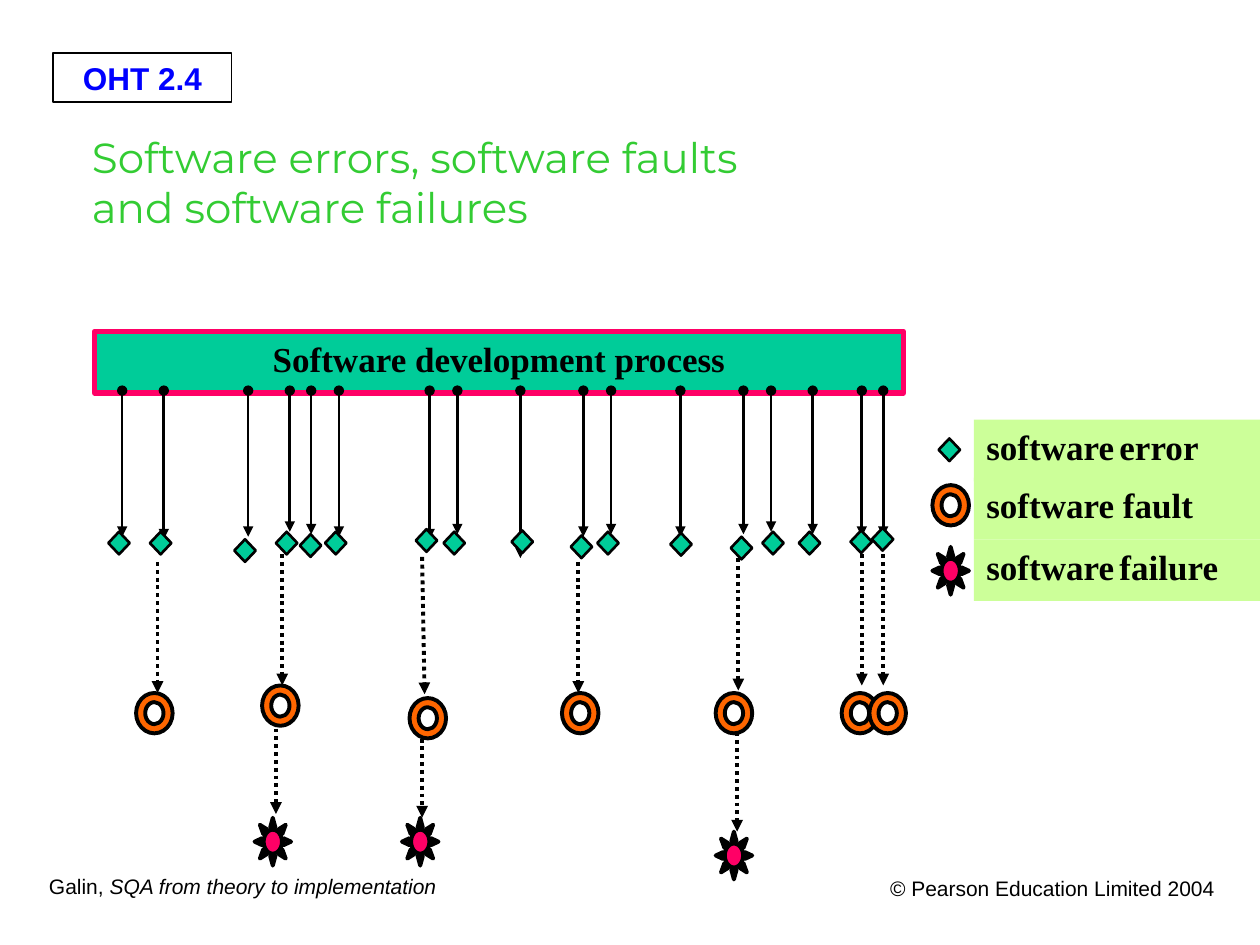
from lxml import etree
from pptx import Presentation
from pptx.dml.color import RGBColor
from pptx.enum import dml, shapes, text
from pptx.oxml.ns import qn
from pptx.util import Inches, Pt

BLACK = RGBColor(0x00, 0x00, 0x00)
BLUE = RGBColor(0x00, 0x00, 0xFF)
LEAF = RGBColor(0x33, 0xCC, 0x33)
TEAL = RGBColor(0x00, 0xCC, 0x99)
PINK = RGBColor(0xFF, 0x00, 0x66)
ORANGE = RGBColor(0xFF, 0x66, 0x00)
LIME = RGBColor(0xCC, 0xFF, 0x99)

KIND = shapes.MSO_SHAPE
LEFT, MID, RIGHT = text.PP_ALIGN.LEFT, text.PP_ALIGN.CENTER, text.PP_ALIGN.RIGHT
SERIF, SANS = "Times New Roman", "Arial"
BAR_END = 3.1

# Errors: arrow x, arrow end, marker left, marker top
ERRORS = [
    (0.97, 4.26, 0.86, 4.22), (1.3, 4.28, 1.19, 4.22), (1.97, 4.26, 1.86, 4.28),
    (2.3, 4.22, 2.19, 4.22), (2.47, 4.24, 2.38, 4.24), (2.69, 4.26, 2.58, 4.22),
    (3.41, 4.28, 3.3, 4.2), (3.63, 4.24, 3.52, 4.22), (4.13, 4.43, 4.06, 4.21),
    (4.63, 4.26, 4.53, 4.25), (4.85, 4.24, 4.74, 4.22), (5.4, 4.26, 5.32, 4.23),
    (5.9, 4.24, 5.8, 4.26), (6.12, 4.22, 6.05, 4.22), (6.45, 4.24, 6.34, 4.22),
    (6.84, 4.26, 6.75, 4.21), (7.01, 4.26, 6.92, 4.19),
]
# Faults and failures: arrow start, arrow end, marker left and top
FAULTS = [
    ((1.25, 4.46), (1.25, 5.5), (1.08, 5.5)),
    ((2.24, 4.4), (2.24, 5.44), (2.08, 5.44)),
    ((3.35, 4.42), (3.37, 5.51), (3.25, 5.54)),
    ((4.59, 4.46), (4.59, 5.5), (4.46, 5.5)),
    ((5.86, 4.43), (5.86, 5.48), (5.68, 5.5)),
    ((6.84, 4.4), (6.84, 5.44), (6.68, 5.5)),
    ((7.01, 4.4), (7.01, 5.44), (6.9, 5.5)),
]
FAILURES = [
    ((2.19, 5.72), (2.19, 6.46), (2.02, 6.49)),
    ((3.35, 5.8), (3.35, 6.49), (3.19, 6.49)),
    ((5.85, 5.81), (5.85, 6.6), (5.68, 6.6)),
]


def write(shape, parts, size, face, color, align=LEFT, bold=False, wrap=True):
    """Fill the first paragraph with one run per part."""
    frame = shape.text_frame
    frame.word_wrap = wrap
    frame.vertical_anchor = text.MSO_ANCHOR.TOP
    para = frame.paragraphs[0]
    para.alignment = align
    for part in parts:
        run = para.add_run()
        run.text = part
        run.font.size, run.font.name = Pt(size), face
        run.font.bold, run.font.color.rgb = bold, color
    return para.runs


def add_box(slide, kind, box, fill, edge=None, width=0):
    shape = slide.shapes.add_shape(kind, *map(Inches, box))
    shape.shadow.inherit = False
    shape.fill.solid()
    shape.fill.fore_color.rgb = fill
    if edge is None:
        shape.line.fill.background()
    else:
        shape.line.color.rgb = edge
        shape.line.width = Pt(width)
    return shape


def add_note(slide, box, parts, size, color, **look):
    note = slide.shapes.add_textbox(*map(Inches, box))
    return note, write(note, parts, size, SANS, color, **look)


def add_arrow(slide, start, end, width, dots=False):
    """Solid arrows start with a dot; dotted ones have a plain start."""
    line = slide.shapes.add_connector(
        shapes.MSO_CONNECTOR.STRAIGHT, *map(Inches, (*start, *end)))
    line.line.color.rgb = BLACK
    line.line.width = Pt(width)
    if dots:
        line.line.dash_style = dml.MSO_LINE.ROUND_DOT
    props = line.line._get_or_add_ln()
    if not dots:
        etree.SubElement(props, qn("a:headEnd"), type="oval")
    etree.SubElement(props, qn("a:tailEnd"), type="triangle")
    etree.SubElement(line._element.spPr, qn("a:effectLst"))


def add_error(slide, x, y):
    mark = add_box(slide, KIND.HEXAGON, (x, y, 0.17, 0.18), TEAL, BLACK, 1.5)
    mark.adjustments[0] = 0.5


def add_fault(slide, x, y):
    add_box(slide, KIND.DONUT, (x, y, 0.29, 0.32), ORANGE, BLACK, 2.25)


def add_failure(slide, x, y):
    add_box(slide, KIND.SUN, (x, y, 0.29, 0.38), PINK, BLACK, 2.25)


def add_title(slide):
    title = slide.shapes.title
    title.left, title.top = Inches(0.63), Inches(0.99)
    title.width, title.height = Inches(8.72), Inches(1.26)
    frame = title.text_frame
    frame.text = "Software errors, software faults\nand software failures"
    frame.word_wrap = False
    frame.auto_size = text.MSO_AUTO_SIZE.NONE
    frame.vertical_anchor = text.MSO_ANCHOR.TOP
    for para in frame.paragraphs:
        para.alignment = LEFT
        font = para.runs[0].font
        font.size, font.name, font.color.rgb = Pt(24), "Montserrat", LEAF


def add_frame(slide):
    """Page label and footers."""
    label, _ = add_note(slide, (0.42, 0.42, 1.42, 0.39), ["OHT 2.4"], 18, BLUE,
                        align=MID, bold=True, wrap=False)
    label.line.color.rgb = BLACK
    label.line.width = Pt(0.75)
    _, runs = add_note(slide, (0.29, 6.88, 3.28, 0.3),
                       ["Galin, ", "SQA from theory to implementation"],
                       12, BLACK, wrap=False)
    runs[1].font.italic = True
    add_note(slide, (6.64, 6.9, 3.1, 0.39),
             ["© Pearson Education Limited 2004"], 12, BLACK, align=RIGHT)


def add_flow(slide):
    """Process bar, then errors, faults and failures below it."""
    for start, end, _ in FAILURES:
        add_arrow(slide, start, end, 2.25, dots=True)
    bar = add_box(slide, KIND.RECTANGLE, (0.75, 2.63, 6.42, 0.49), TEAL, PINK, 3)
    write(bar, ["Software development process"], 20, SERIF, BLACK, MID, True)
    for x, end, _, _ in ERRORS:
        add_arrow(slide, (x, BAR_END), (x, end), 1.5)
    for _, _, x, y in ERRORS:
        add_error(slide, x, y)
    for start, end, _ in FAULTS:
        add_arrow(slide, start, end, 2.25, dots=True)
    for _, _, spot in FAULTS:
        add_fault(slide, *spot)
    for _, _, spot in FAILURES:
        add_failure(slide, *spot)


def add_legend(slide):
    rows = [
        (3.33, ["software", " ", "error"], add_error, (7.45, 3.48)),
        (3.79, ["software fault"], add_fault, (7.4, 3.85)),
        (4.28, ["software", " ", "failure"], add_failure, (7.4, 4.34)),
    ]
    for top, parts, mark, spot in rows:
        mark(slide, *spot)
        row = add_box(slide, KIND.RECTANGLE, (7.73, top, 2.27, 0.49), LIME)
        runs = write(row, parts, 20, SERIF, BLACK, bold=True)
        for gap in runs[1:2]:
            gap.font.size, gap.font.bold = Pt(12), False


def main():
    deck = Presentation()
    deck.slide_width, deck.slide_height = Inches(10), Inches(7.5)
    slide = deck.slides.add_slide(deck.slide_layouts[5])
    add_frame(slide)
    add_flow(slide)
    add_legend(slide)
    add_title(slide)
    deck.save("out.pptx")


if __name__ == "__main__":
    main()
